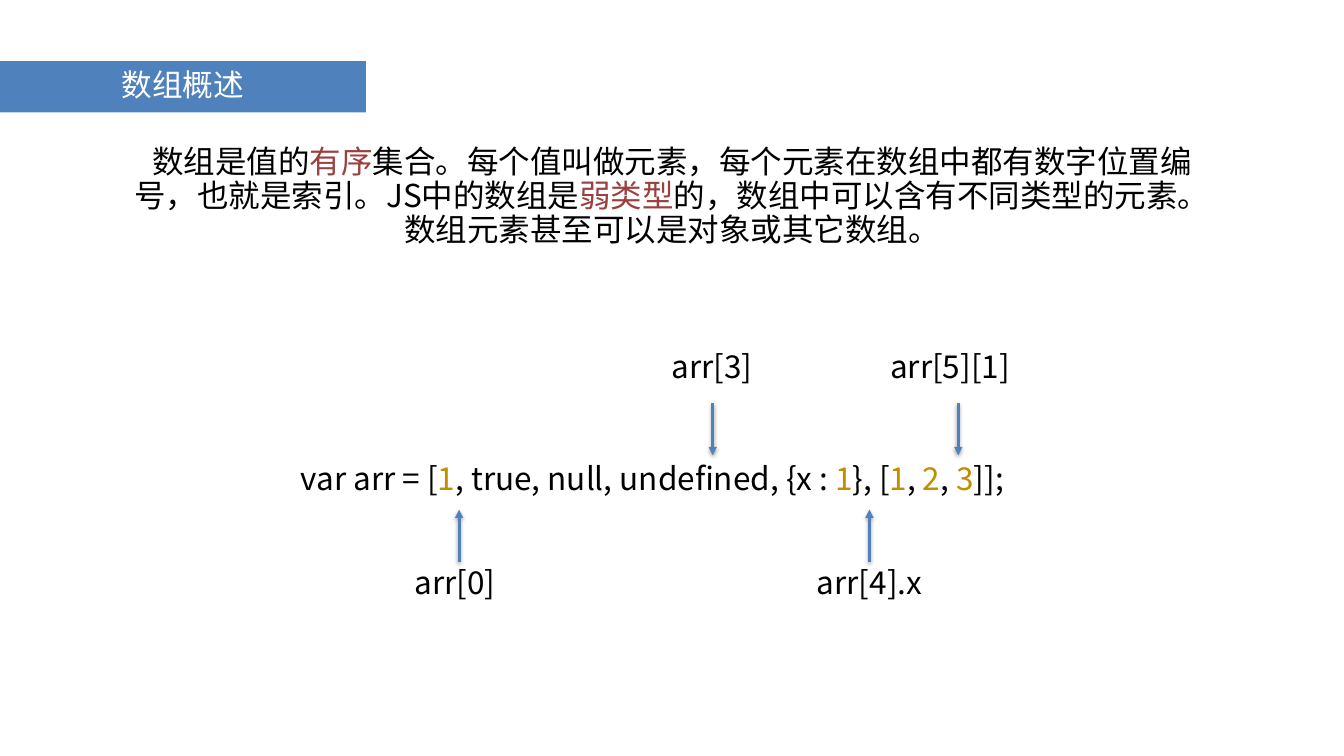
"""Build a slide that explains JavaScript arrays and how their elements are indexed."""
from lxml.etree import SubElement
from pptx import Presentation
from pptx.dml.color import RGBColor
from pptx.enum.shapes import MSO_CONNECTOR
from pptx.enum.text import MSO_ANCHOR, MSO_AUTO_SIZE, PP_ALIGN
from pptx.oxml import parse_xml
from pptx.oxml.ns import nsdecls, qn
from pptx.util import Cm, Pt

FONT = "Noto Sans CJK SC"
BLUE = RGBColor(0x4F, 0x81, 0xBD)
RED = RGBColor(0x9A, 0x40, 0x3E)
GOLD = RGBColor(0xBF, 0x8F, 0x00)
BLACK = RGBColor(0, 0, 0)
WHITE = RGBColor(0xFF, 0xFF, 0xFF)

TITLE = "数组概述"
DEFINITION = [
    ("数组是值的", BLACK),
    ("有序", RED),
    ("集合。每个值叫做元素，每个元素在数组中都有数字位置编号，也就是索引。JS中的数组是", BLACK),
    ("弱类型", RED),
    ("的，数组中可以含有不同类型的元素。数组元素甚至可以是对象或其它数组。", BLACK),
]
CODE = [
    ("var arr = [", BLACK), ("1", GOLD),
    (", true, null, undefined, {x : ", BLACK), ("1", GOLD),
    ("}, [", BLACK), ("1", GOLD), (", ", BLACK), ("2", GOLD),
    (", ", BLACK), ("3", GOLD), ("]];", BLACK),
]
ACCESSES = [
    ("arr[0]", "below", 22.94, 23.14, 4.62),
    ("arr[4].x", "below", 43.82, 43.82, 5.82),
    ("arr[3]", "above", 35.89, 35.92, 4.62),
    ("arr[5][1]", "above", 47.88, 48.3, 6.6),
]
ROWS = {
    "above": {"label_top": 17.43, "tail": 20.32, "tip": 22.94},
    "below": {"label_top": 28.35, "tail": 28.32, "tip": 25.68},
}
LINE_HEIGHT = 2.62
MARGIN = Cm(0.25)


def write(frame, runs, size=45, align=PP_ALIGN.CENTER, spacing=0.9, **frame_format):
    for attribute, value in frame_format.items():
        setattr(frame, attribute, value)
    paragraph = frame.paragraphs[0]
    paragraph.alignment = align
    paragraph.line_spacing = spacing
    paragraph._p.get_or_add_pPr().set("hangingPunct", "0")
    for text, color in runs:
        run = paragraph.add_run()
        run.text = text
        run.font.size = Pt(size)
        run.font.name = FONT
        run.font.color.rgb = color
        SubElement(run.font._element, qn("a:ea"), typeface=FONT)


def add_text(slide, left, top, width, height, runs, wrap=False, **text_format):
    box = slide.shapes.add_textbox(Cm(left), Cm(top), Cm(width), Cm(height))
    margins = {f"margin_{side}": MARGIN for side in ("left", "top", "right", "bottom")}
    write(box.text_frame, runs, word_wrap=wrap,
          auto_size=MSO_AUTO_SIZE.SHAPE_TO_FIT_TEXT, **margins, **text_format)


def add_arrow(slide, x, tail, tip):
    arrow = slide.shapes.add_connector(MSO_CONNECTOR.STRAIGHT, Cm(x), Cm(tail), Cm(x), Cm(tip))
    arrow.line.color.rgb = BLUE
    arrow.line.width = Pt(4)
    SubElement(arrow.line._get_or_add_ln(), qn("a:tailEnd"), type="triangle")
    arrow._element.spPr.append(parse_xml(
        f'<a:effectLst {nsdecls("a")}>'
        f'<a:outerShdw blurRad="{Pt(6)}" dist="{Pt(3)}" dir="5400000" rotWithShape="0">'
        '<a:srgbClr val="000000"><a:alpha val="38000"/></a:srgbClr>'
        '</a:outerShdw></a:effectLst>'))


def add_title(slide):
    banner = slide.shapes.title
    bounds = {"left": 0, "top": Cm(3.08), "width": Cm(18.44), "height": Cm(2.59)}
    for attribute, value in bounds.items():
        setattr(banner, attribute, value)
    banner.fill.solid()
    banner.fill.fore_color.rgb = BLUE
    write(banner.text_frame, [(TITLE, WHITE)], size=43.8, word_wrap=True,
          auto_size=MSO_AUTO_SIZE.NONE, vertical_anchor=MSO_ANCHOR.MIDDLE,
          margin_left=0, margin_top=0, margin_right=0, margin_bottom=0)


def main():
    deck = Presentation()
    deck.slide_width, deck.slide_height = Cm(67.74), Cm(38.1)
    slide = deck.slides.add_slide(deck.slide_layouts[5])
    add_title(slide)
    add_text(slide, 6.43, 7.14, 54.86, 6.43, DEFINITION, wrap=True)
    add_text(slide, 14.91, 22.89, 37.44, LINE_HEIGHT, CODE, align=PP_ALIGN.LEFT, spacing=1.0)
    for label, side, center, arrow_x, width in ACCESSES:
        row = ROWS[side]
        add_text(slide, center - width / 2, row["label_top"], width, LINE_HEIGHT,
                 [(label, BLACK)])
        add_arrow(slide, arrow_x, row["tail"], row["tip"])
    deck.save("out.pptx")


if __name__ == "__main__":
    main()
